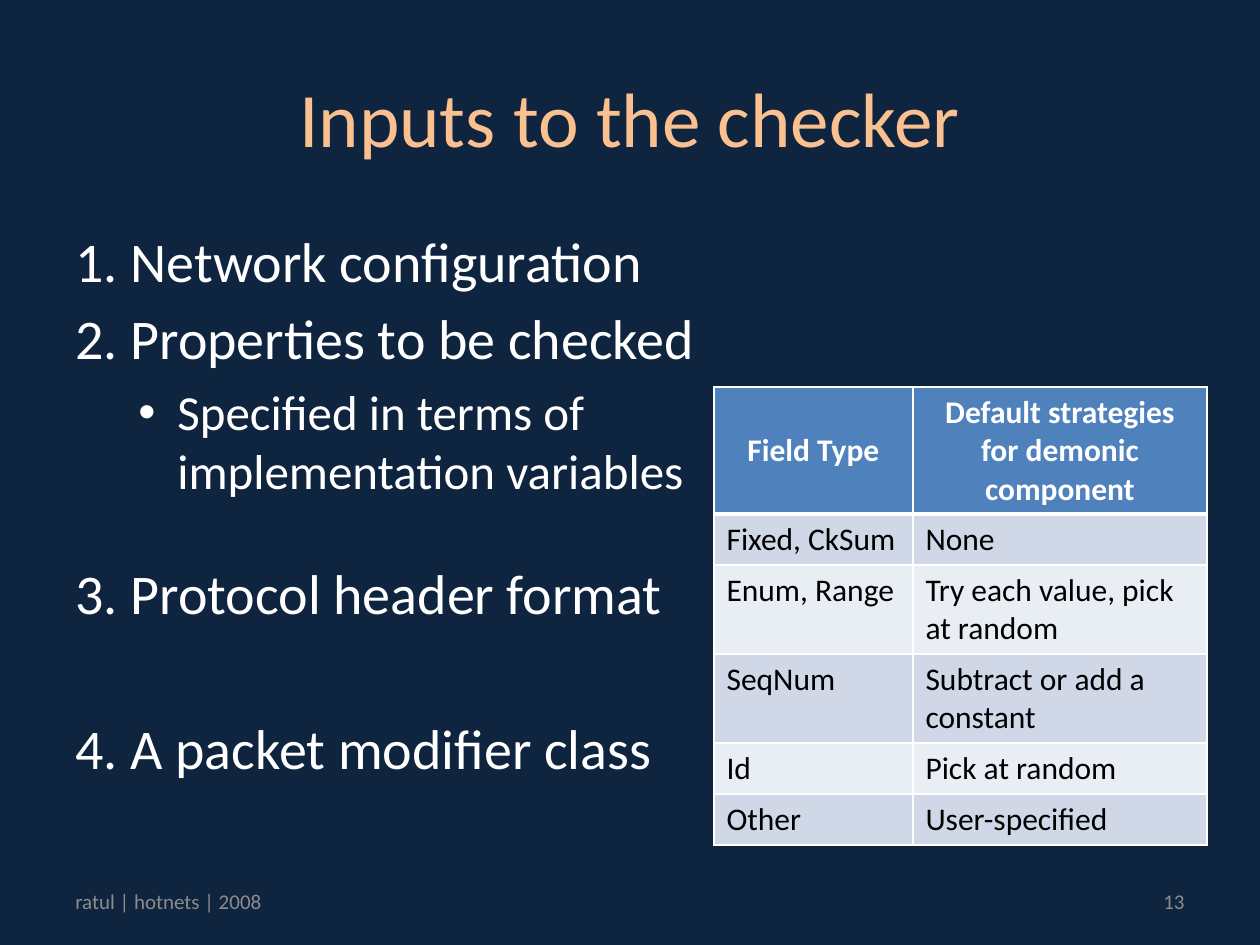
import pptx
import pptx.dml.color
import pptx.enum.text
import pptx.oxml
import pptx.oxml.ns
import pptx.util

ALIGN = pptx.enum.text.PP_ALIGN
ANCHOR = pptx.enum.text.MSO_ANCHOR

THEME = {
    "font": "Calibri",
    "background": "0F243E", "title": "FAC090", "light": "FFFFFF", "dark": "000000",
    "muted": "8C8C8C", "header": "4F81BD", "bands": ("D0D8E8", "E9EDF4"),
    "title_size": 44, "item_size": 32, "detail_size": 28, "table_size": 18, "footer_size": 12,
}

TITLE = "Inputs to the checker"
# text, is a detail, space before in points
INPUTS = [
    ("1. Network configuration", False, 6),
    ("2. Properties to be checked", False, 6),
    ("Specified in terms of \vimplementation variables", True, 6),
    ("3. Protocol header format", False, 34),
    ("4. A packet modifier class", False, 50),
]
STRATEGIES = [
    ("Field Type", "Default strategies for demonic component"),
    ("Fixed, CkSum", "None"),
    ("Enum, Range", "Try each value, pick at random"),
    ("SeqNum", "Subtract or add a constant"),
    ("Id", "Pick at random"),
    ("Other", "User-specified"),
]
FOOTERS = [("ratul | hotnets | 2008", 63, ALIGN.LEFT), ("13", 903, ALIGN.RIGHT)]

# Lengths in px
SLIDE_SIZE = (1260, 945)
TITLE_BOX = (63, 38, 1134, 157)
INPUTS_BOX = (63, 220, 1134, 624)
TABLE_ORIGIN = (714, 387)
COLUMN_WIDTHS = (199, 294)
ROW_HEIGHTS = (127, 51, 89, 89, 51, 51)
FOOTER_TOP, FOOTER_WIDTH, FOOTER_HEIGHT = 876, 294, 50


def px(length):
    return pptx.util.Emu(round(length * 914400 / 126))


def rgb(name):
    return pptx.dml.color.RGBColor.from_string(name)


def write(paragraph, text, *, size, color, align=ALIGN.LEFT, bold=False, before=0):
    paragraph.text = text
    paragraph.alignment = align
    paragraph.space_before = pptx.util.Pt(before)
    for run in paragraph.runs:
        run.font.name = THEME["font"]
        run.font.size = pptx.util.Pt(size)
        run.font.bold = bold
        run.font.color.rgb = rgb(color)


def add_text_frame(slide, box, anchor):
    frame = slide.shapes.add_textbox(*map(px, box)).text_frame
    frame.word_wrap = True
    frame.vertical_anchor = anchor
    return frame


def add_bullet(paragraph, left, hanging):
    properties = paragraph._p.get_or_add_pPr()
    properties.set("marL", str(px(left)))
    properties.set("indent", str(px(-hanging)))
    namespace = pptx.oxml.ns.nsdecls("a")
    for xml in (f'<a:buFont {namespace} typeface="Arial"/>', f'<a:buChar {namespace} char="•"/>'):
        properties.append(pptx.oxml.parse_xml(xml))


def set_borders(cell, bottom):
    properties = cell._tc.get_or_add_tcPr()
    for side, points in (("L", 1), ("R", 1), ("T", 1), ("B", bottom)):
        properties.append(pptx.oxml.parse_xml(
            f'<a:ln{side} {pptx.oxml.ns.nsdecls("a")} w="{pptx.util.Pt(points)}">'
            f'<a:solidFill><a:srgbClr val="{THEME["light"]}"/></a:solidFill></a:ln{side}>'))


def add_title(slide):
    title = slide.shapes.title
    title.left, title.top, title.width, title.height = map(px, TITLE_BOX)
    title.text_frame.vertical_anchor = ANCHOR.MIDDLE
    write(title.text_frame.paragraphs[0], TITLE, size=THEME["title_size"],
          color=THEME["title"], align=ALIGN.CENTER)


def add_inputs(slide):
    frame = add_text_frame(slide, INPUTS_BOX, ANCHOR.TOP)
    for index, (text, is_detail, before) in enumerate(INPUTS):
        paragraph = frame.add_paragraph() if index else frame.paragraphs[0]
        size = THEME["detail_size" if is_detail else "item_size"]
        write(paragraph, text, size=size, color=THEME["light"], before=before)
        if is_detail:
            add_bullet(paragraph, left=102, hanging=39)


def add_strategies(slide):
    table = slide.shapes.add_table(
        len(STRATEGIES), len(COLUMN_WIDTHS), *map(px, TABLE_ORIGIN),
        px(sum(COLUMN_WIDTHS)), px(sum(ROW_HEIGHTS))).table
    for column, width in zip(table.columns, COLUMN_WIDTHS):
        column.width = px(width)
    for index, (texts, height) in enumerate(zip(STRATEGIES, ROW_HEIGHTS)):
        row = table.rows[index]
        row.height = px(height)
        is_header = index == 0
        fill = THEME["header"] if is_header else THEME["bands"][(index - 1) % 2]
        for cell, text in zip(row.cells, texts):
            set_borders(cell, bottom=3 if is_header else 1)
            cell.fill.solid()
            cell.fill.fore_color.rgb = rgb(fill)
            cell.vertical_anchor = ANCHOR.MIDDLE if is_header else ANCHOR.TOP
            write(cell.text_frame.paragraphs[0], text, size=THEME["table_size"], bold=is_header,
                  color=THEME["light" if is_header else "dark"],
                  align=ALIGN.CENTER if is_header else ALIGN.LEFT)


def add_footers(slide):
    for text, left, align in FOOTERS:
        box = (left, FOOTER_TOP, FOOTER_WIDTH, FOOTER_HEIGHT)
        frame = add_text_frame(slide, box, ANCHOR.MIDDLE)
        write(frame.paragraphs[0], text, size=THEME["footer_size"],
              color=THEME["muted"], align=align)


def main():
    presentation = pptx.Presentation()
    presentation.slide_width, presentation.slide_height = map(px, SLIDE_SIZE)
    slide = presentation.slides.add_slide(presentation.slide_layouts.get_by_name("Title Only"))
    slide.background.fill.solid()
    slide.background.fill.fore_color.rgb = rgb(THEME["background"])
    add_title(slide)
    add_inputs(slide)
    add_strategies(slide)
    add_footers(slide)
    presentation.save("out.pptx")


if __name__ == "__main__":
    main()
